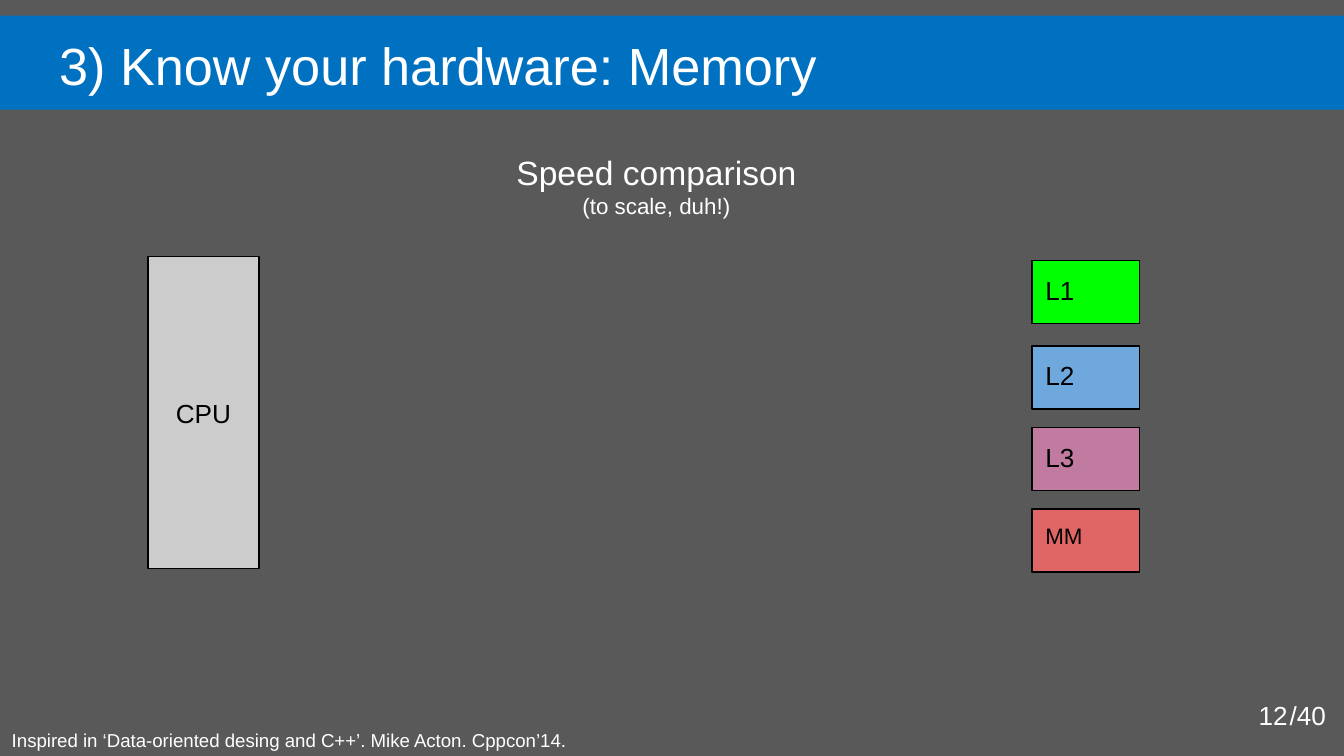
from pptx import Presentation
from pptx.dml.color import RGBColor
from pptx.enum.shapes import MSO_SHAPE
from pptx.enum.text import MSO_ANCHOR as ANCHOR, MSO_AUTO_SIZE, PP_ALIGN as ALIGN
from pptx.oxml.ns import qn
from pptx.util import Pt

WHITE, BLACK = "FFFFFF", "000000"


def color(hex_code):
    return RGBColor.from_string(hex_code)


class Deck:
    """Holds the text style and the slide being built."""

    font = "Arial"
    inset = Pt(7.2)

    def __init__(self, slide, background):
        self.slide = slide
        fill = slide.background.fill
        fill.solid()
        fill.fore_color.rgb = color(background)

    def set_text(self, shape, lines, ink=WHITE, align=ALIGN.LEFT, anchor=ANCHOR.TOP):
        """Fill a shape with (text, size) lines, one paragraph each."""
        frame = shape.text_frame
        frame.word_wrap = True
        frame.auto_size = MSO_AUTO_SIZE.NONE
        frame.vertical_anchor = anchor
        frame.margin_left = frame.margin_right = self.inset
        frame.margin_top = frame.margin_bottom = self.inset
        for index, (text, size) in enumerate(lines):
            paragraph = frame.add_paragraph() if index else frame.paragraphs[0]
            paragraph.alignment = align
            paragraph.space_before = Pt(0)
            run = paragraph.add_run()
            run.text = text
            run.font.name = self.font
            run.font.size = Pt(size)
            run.font.color.rgb = color(ink)

    def placeholder(self, index, left, top, width, height, lines, align=ALIGN.LEFT):
        holder = self.slide.placeholders[index]
        holder.left, holder.top = Pt(left), Pt(top)
        holder.width, holder.height = Pt(width), Pt(height)
        self.set_text(holder, lines, align=align)
        return holder

    def remove_bullets(self, holder):
        for paragraph in holder.text_frame.paragraphs:
            properties = paragraph._p.get_or_add_pPr()
            properties.set("marL", "0")
            properties.set("indent", "0")
            properties.append(properties.makeelement(qn("a:buNone"), {}))

    def label(self, left, top, width, height, text, size, anchor=ANCHOR.TOP):
        box = self.slide.shapes.add_textbox(Pt(left), Pt(top), Pt(width), Pt(height))
        self.set_text(box, [(text, size)], anchor=anchor)

    def rectangle(self, left, top, width, height, fill, outline=None):
        block = self.slide.shapes.add_shape(
            MSO_SHAPE.RECTANGLE, Pt(left), Pt(top), Pt(width), Pt(height))
        block.shadow.inherit = False
        block.fill.solid()
        block.fill.fore_color.rgb = color(fill)
        if outline:
            block.line.color.rgb = color(outline)
            block.line.width = Pt(0.75)
        else:
            block.line.fill.background()
        return block

    def send_to_back(self, shape):
        self.slide.shapes._spTree.insert(2, shape._element)


def main():
    prs = Presentation()
    prs.slide_width, prs.slide_height = Pt(720), Pt(405)
    deck = Deck(prs.slides.add_slide(prs.slide_layouts[1]), "595959")

    banner = deck.rectangle(0, 8.4, 720, 50.4, "0070C0")
    deck.send_to_back(banner)
    deck.placeholder(0, 24.5, 10.8, 671, 45.4, [("3) Know your hardware: Memory", 28)])
    heading = deck.placeholder(
        1, 242.6, 74.2, 218.2, 57.6,
        [("Speed comparison", 18), ("(to scale, duh!)", 12)], ALIGN.CENTER)
    deck.remove_bullets(heading)

    cpu = deck.rectangle(79.2, 137.6, 59.6, 167.2, "CCCCCC", BLACK)
    deck.set_text(cpu, [("CPU", 14)], BLACK, ALIGN.CENTER, ANCHOR.MIDDLE)

    memory_levels = [
        ("L1", 14, 139.7, "00FF00"),
        ("L2", 14, 185.4, "6FA8DC"),
        ("L3", 14, 229.1, "C27BA0"),
        ("MM", 12, 272.8, "E06666"),
    ]
    for name, size, top, fill in memory_levels:
        level = deck.rectangle(552.9, top, 57.6, 33.8, fill, BLACK)
        deck.set_text(level, [(name, size)], BLACK)

    for left, page_part in ((667.2, "12"), (683.8, "/40")):
        deck.label(left, 367.4, 43.2, 31, page_part, 14, ANCHOR.MIDDLE)
    deck.label(-0.8, 383.2, 541.4, 45.4,
               "Inspired in ‘Data-oriented desing and C++’. Mike Acton. Cppcon’14.", 10)

    prs.save("out.pptx")


if __name__ == "__main__":
    main()
